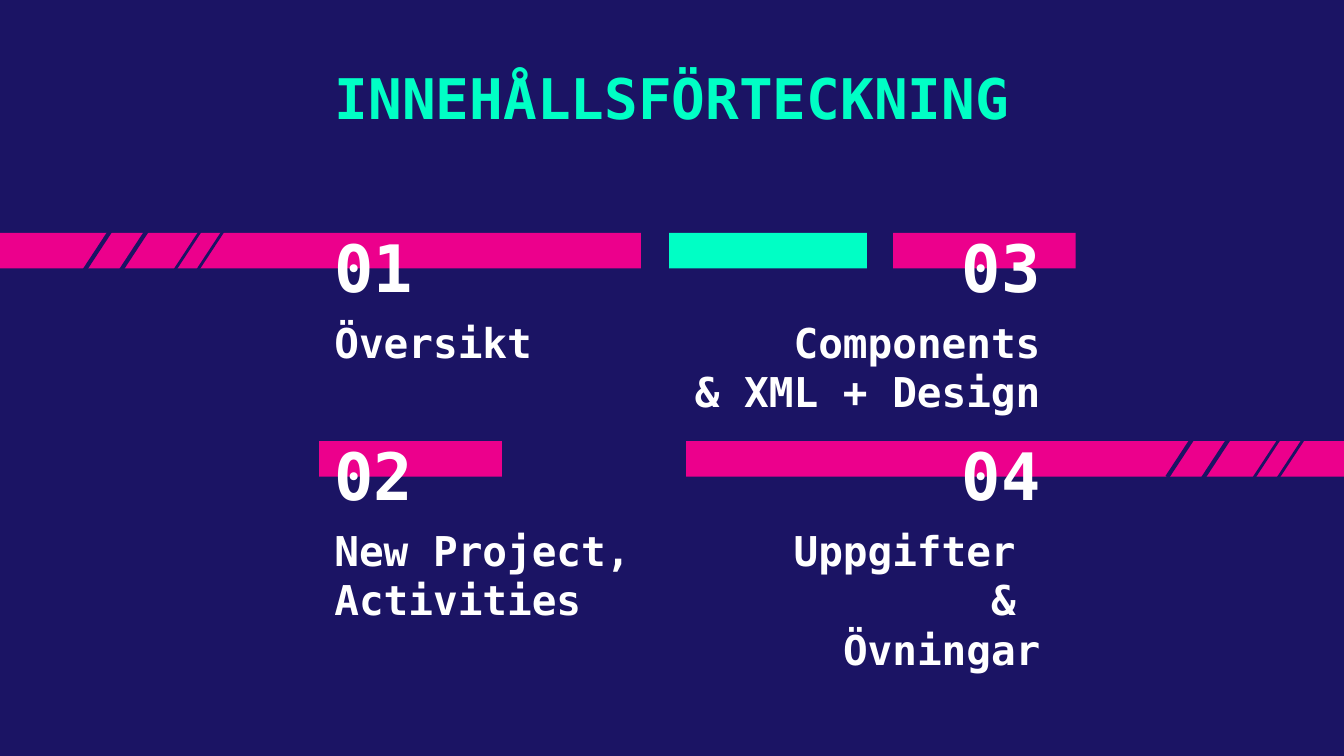
"""Build a Swedish table-of-contents slide with four numbered entries."""
from lxml import etree
from pptx import Presentation
from pptx import util as u
from pptx.dml.color import RGBColor
from pptx.enum import shapes, text
from pptx.oxml.ns import qn

COLOURS = {"navy": "1B1464", "pink": "EC008C", "mint": "00FFC5", "white": "FFFFFF"}
FONT = "DejaVu Sans Mono"

deck = Presentation()
deck.slide_width, deck.slide_height = u.Inches(10), u.Inches(5.625)
CELL = deck.slide_width / 100


def grid(*cells):
    return [u.Emu(round(cell * CELL)) for cell in cells]


def write(box, content, size, colour="white", align="LEFT", anchor="TOP", inset=0):
    frame = box.text_frame
    frame.text = content
    frame.word_wrap = True
    frame.auto_size = text.MSO_AUTO_SIZE.NONE
    frame.vertical_anchor = getattr(text.MSO_ANCHOR, anchor)
    frame.margin_left, frame.margin_right = grid(1, 1)
    frame.margin_top, frame.margin_bottom = grid(inset, inset)
    for para in frame.paragraphs:
        para.alignment = getattr(text.PP_ALIGN, align)
        for span in para.runs:
            span.font.name, span.font.size, span.font.bold = FONT, u.Pt(size), True
            span.font.color.rgb = RGBColor.from_string(COLOURS[colour])


page = deck.slides.add_slide(deck.slide_layouts[5])
page.background.fill.solid()
page.background.fill.fore_color.rgb = RGBColor.from_string(COLOURS["navy"])

UPPER, LOWER = 17.33, 32.82
bars = [
    (0, UPPER, 47.7, "pink"),
    (66.45, UPPER, 13.6, "pink"),
    (23.75, LOWER, 13.6, "pink"),
    (51.05, LOWER, 48.95, "pink"),
    (49.8, UPPER, 14.7, "mint"),
]
for left, top, width, colour in bars:
    bar = page.shapes.add_shape(
        shapes.MSO_SHAPE.RECTANGLE, *grid(left, top, width, 2.65))
    bar.shadow.inherit = False
    bar.fill.solid()
    bar.fill.fore_color.rgb = RGBColor.from_string(COLOURS[colour])
    bar.line.fill.background()

title = page.shapes.title
title.left, title.top, title.width, title.height = grid(14, 3.7, 72, 7.3)
write(title, "INNEHÅLLSFÖRTECKNING", 30, "mint", "CENTER", inset=1)

LEFT_EDGE, RIGHT_EDGE, NUMBER_WIDTH = 23.9, 78.4, 23.7
entries = [
    ("01", "Översikt", UPPER, "LEFT", 23.7),
    ("03", "Components\n& XML + Design", UPPER, "RIGHT", 31.5),
    ("02", "New Project,\nActivities", LOWER, "LEFT", 33.8),
    ("04", "Uppgifter \v& \vÖvningar", LOWER, "RIGHT", 23.7),
]
for number, caption, top, align, caption_width in entries:
    parts = [
        (number, 2.82, NUMBER_WIDTH, 2.6, 35, "BOTTOM"),
        (caption, 6.3, caption_width, 4.7, 22, "TOP"),
    ]
    for content, drop, width, height, size, anchor in parts:
        left = LEFT_EDGE if align == "LEFT" else RIGHT_EDGE - width
        box = page.shapes.add_textbox(*grid(left, top + drop, width, height))
        write(box, content, size, align=align, anchor=anchor)

slashes = [
    (10.3, 14, 2.25), (11.9, 15.7, 2.25), (15.3, 16.6, 1.5), (17, 16.6, 1.5),
    (92.5, 26.9, 2.25), (94.1, 28.6, 2.25), (95.7, 31.9, 1.5), (97.5, 31.9, 1.5),
]
for left, top, weight in slashes:
    slash = page.shapes.add_connector(
        shapes.MSO_CONNECTOR.STRAIGHT, *grid(left, top, left - 5.65, top + 8.6))
    slash.line.color.rgb = RGBColor.from_string(COLOURS["navy"])
    slash.line.width = u.Pt(weight)
    etree.SubElement(slash._element.spPr, qn("a:effectLst"))

deck.save("out.pptx")
